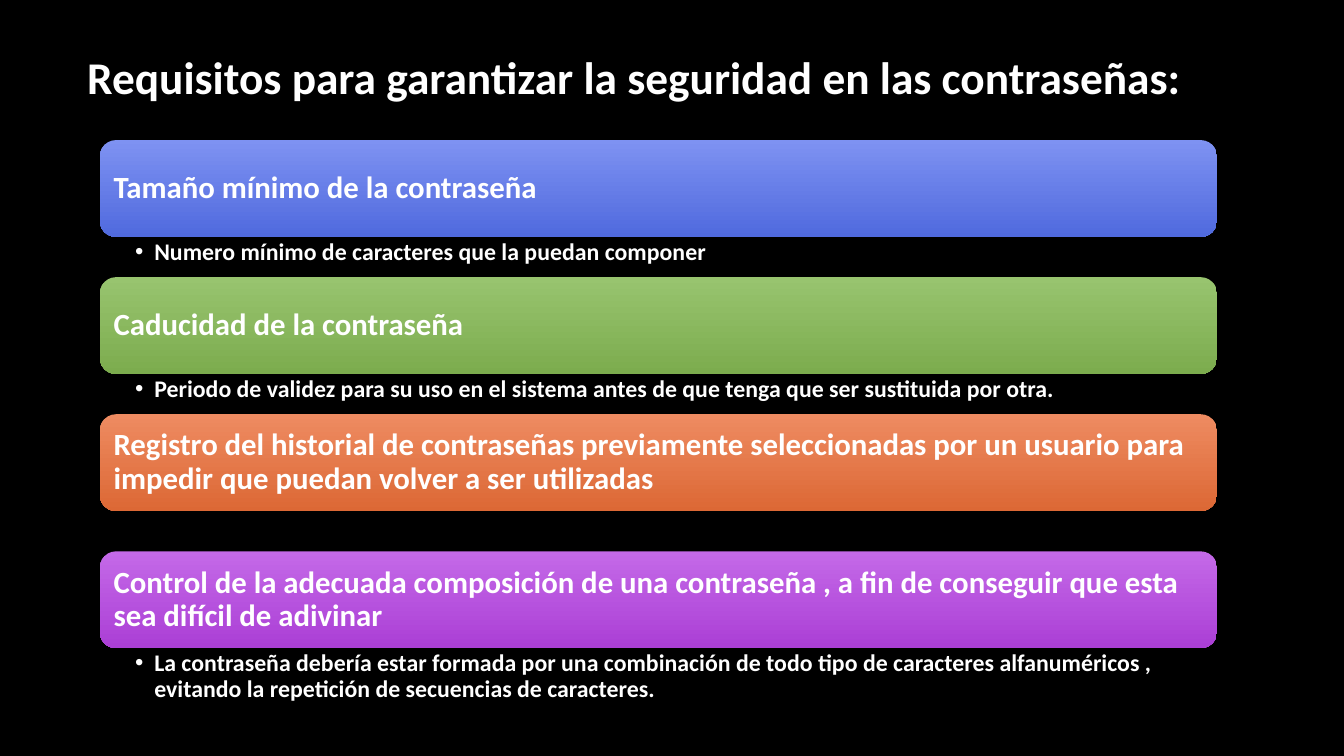
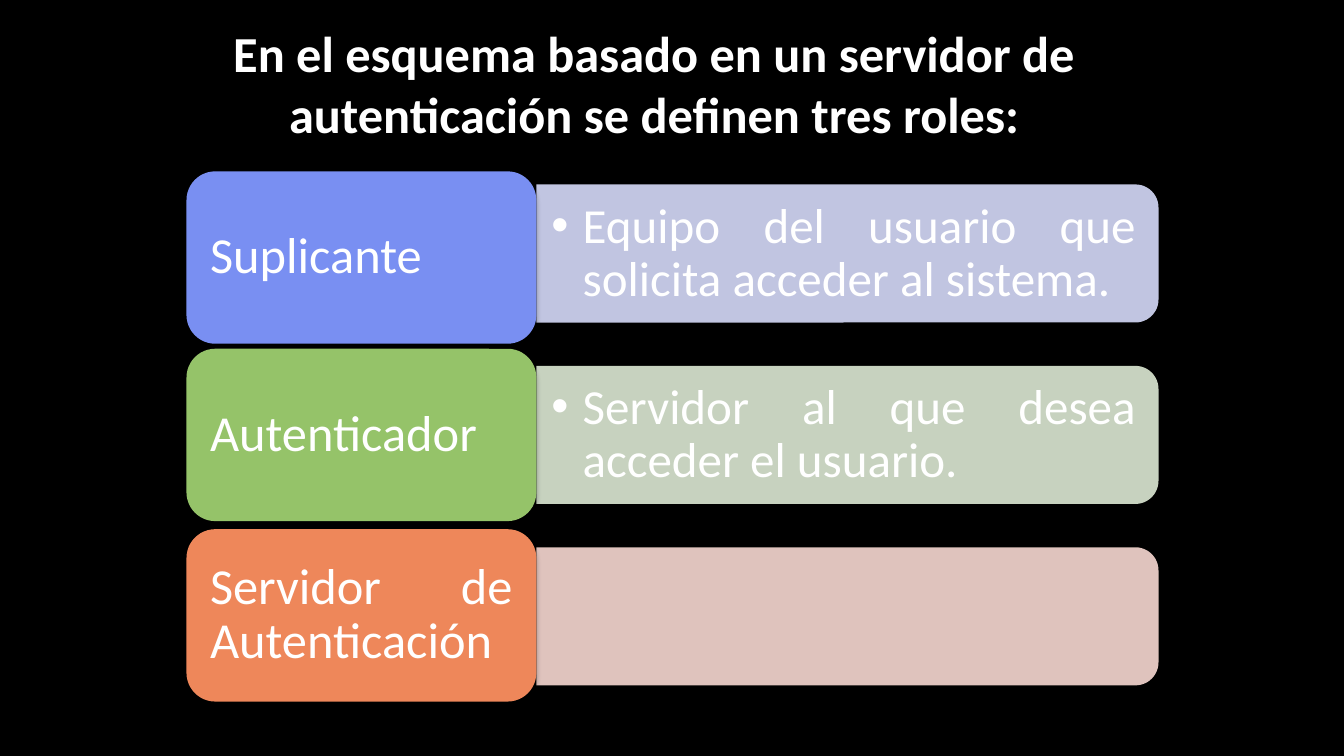
from lxml import etree
from pptx import Presentation
from pptx import util as u
from pptx.dml.color import RGBColor
from pptx.enum import shapes, text
from pptx.oxml.ns import qn

Inches = u.Inches
FONT = "Calibri"
COLORS = {
    "background": "000000", "text": "FFFFFF", "shadow": "000000",
    "blue_top": "7E92F2", "blue_bottom": "506ADE",
    "green_top": "98C46F", "green_bottom": "7CAC4E",
    "orange_top": "EE8B61", "orange_bottom": "DC6835",
    "purple_top": "C469E8", "purple_bottom": "AB3FD5",
    "blue": "798FF2", "green": "95C369", "orange": "EE875A",
    "blue_pale": "D7DBFA", "green_pale": "DDE9D4", "orange_pale": "F8D9D2",
}


def rgb(name):
    return RGBColor.from_string(COLORS[name])


class Deck:
    """Shared style and the slide being built."""

    def __init__(self):
        self.presentation = Presentation()
        self.presentation.slide_width = Inches(13.33)
        self.presentation.slide_height = Inches(7.5)
        background = self.presentation.slide_master.background.fill
        background.solid()
        background.fore_color.rgb = rgb("background")
        self.slide = None

    def add_slide(self, title, box, size):
        layout = self.presentation.slide_layouts.get_by_name("Title Only")
        self.slide = self.presentation.slides.add_slide(layout)
        shape = self.slide.shapes.title
        shape.left, shape.top, shape.width, shape.height = map(Inches, box)
        self.set_text(shape, title, size, bold=True, spacing=1,
                      align=text.PP_ALIGN.CENTER)

    def set_text(self, shape, words, size, bold=False,
                 insets=(0.1, 0.05, 0.1, 0.05), align=text.PP_ALIGN.LEFT,
                 anchor=text.MSO_ANCHOR.MIDDLE, spacing=0.9,
                 bullet_indent=None):
        frame = shape.text_frame
        frame.word_wrap = True
        frame.auto_size = text.MSO_AUTO_SIZE.NONE
        frame.vertical_anchor = anchor
        (frame.margin_left, frame.margin_top,
         frame.margin_right, frame.margin_bottom) = map(Inches, insets)
        paragraph = frame.paragraphs[0]
        paragraph.alignment = align
        paragraph.line_spacing = spacing
        if bullet_indent:
            properties = paragraph._p.get_or_add_pPr()
            properties.set("marL", str(Inches(bullet_indent)))
            properties.set("indent", str(-Inches(bullet_indent)))
            etree.SubElement(properties, qn("a:buFont"), typeface="Arial")
            etree.SubElement(properties, qn("a:buChar"), char="•")
        run = paragraph.add_run()
        run.text = words
        run.font.name = FONT
        run.font.size = u.Pt(size)
        run.font.bold = bold
        run.font.color.rgb = rgb("text")

    def add_text(self, box, words, size, **style):
        shape = self.slide.shapes.add_textbox(*map(Inches, box))
        self.set_text(shape, words, size, **style)

    def add_block(self, kind, box, color):
        """Add an outline-free shape with a plain fill and no shadow."""
        shape = self.slide.shapes.add_shape(kind, *map(Inches, box))
        shape.fill.solid()
        shape.fill.fore_color.rgb = rgb(color)
        shape.line.fill.background()
        shape.shadow.inherit = False
        return shape

    def add_card(self, box, color, words, size, **style):
        """Add a rounded, softly shadowed block with text in it."""
        shape = self.add_block(shapes.MSO_SHAPE.ROUNDED_RECTANGLE, box, color)
        effects = shape._element.spPr.find(qn("a:effectLst"))
        shadow = etree.SubElement(
            effects, qn("a:outerShdw"), blurRad=str(u.Pt(4)),
            dist=str(u.Pt(3)), dir="5400000", rotWithShape="0")
        shade = etree.SubElement(shadow, qn("a:srgbClr"), val=COLORS["shadow"])
        etree.SubElement(shade, qn("a:alpha"), val="35000")
        self.set_text(shape, words, size, **style)
        return shape

    def add_band(self, box, color, words):
        shape = self.add_card(box, f"{color}_top", words, 22, bold=True,
                              insets=(0.09,) * 4)
        shape.fill.gradient()
        shape.fill.gradient_angle = 270
        for stop, end in zip(shape.fill.gradient_stops, ("top", "bottom")):
            stop.color.rgb = rgb(f"{color}_{end}")

    def add_panel(self, left, top, width, height, color):
        """Add a translucent panel rounded on its right side only."""
        box = (left + (width - height) / 2, top - (width - height) / 2,
               height, width)
        shape = self.add_block(
            shapes.MSO_SHAPE.ROUND_2_SAME_RECTANGLE, box, color)
        shape.rotation = 90
        fill = shape._element.spPr.find(qn("a:solidFill"))
        etree.SubElement(fill[0], qn("a:alpha"), val="90000")


def add_requirements(deck):
    deck.add_slide("Requisitos para garantizar la seguridad en las contraseñas:",
                   (0.75, 0.26, 11.08, 0.99), 32.4)
    requirements = [
        ("blue", "Tamaño mínimo de la contraseña",
         "Numero mínimo de caracteres que la puedan componer"),
        ("green", "Caducidad de la contraseña",
         "Periodo de validez para su uso en el sistema antes de que tenga que "
         "ser sustituida por otra."),
        ("orange", "Registro del historial de contraseñas previamente "
         "seleccionadas por un usuario para impedir que puedan volver a ser "
         "utilizadas", None),
        ("purple", "Control de la adecuada composición de una contraseña , a fin "
         "de conseguir que esta sea difícil de adivinar",
         "La contraseña debería estar formada por una combinación de todo tipo "
         "de caracteres alfanuméricos , evitando la repetición de secuencias "
         "de caracteres."),
    ]
    left, width, height = 0.99, 11.08, 0.96
    for index, (color, heading, detail) in enumerate(requirements):
        top = 1.39 + 1.36 * index
        deck.add_band((left, top, width, height), color, heading)
        if detail:
            deck.add_text((left, top + height, width, 0.4), detail, 17,
                          bold=True, insets=(0.35, 0.03, 0.17, 0.03),
                          anchor=text.MSO_ANCHOR.TOP, bullet_indent=0.19)


def add_roles(deck):
    deck.add_slide("En el esquema basado en un servidor de autenticación se "
                   "definen tres roles:", (0.95, 0.21, 11.08, 1.22), 36)
    roles = [
        ("blue", 1.7, "Suplicante",
         "Equipo del usuario que solicita acceder al sistema."),
        ("green", 3.46, "Autenticador",
         "Servidor al que desea acceder el usuario."),
        ("orange", 5.25, "Servidor de Autenticación", None),
    ]
    style = {"insets": (0.15, 0.07, 0.15, 0.07),
             "align": text.PP_ALIGN.JUSTIFY}
    left, width = 1.85, 3.47
    panel_left = left + width
    for index, (color, card_top, role, detail) in enumerate(roles):
        panel_top = 1.83 + 1.8 * index
        deck.add_panel(panel_left, panel_top, 6.17, 1.37, f"{color}_pale")
        if detail:
            deck.add_text((panel_left, panel_top + 0.07, 6.1, 1.24), detail,
                          35, bullet_indent=0.31, **style)
        deck.add_card((left, card_top, width, 1.71), color, role, 36, **style)


def main():
    deck = Deck()
    add_requirements(deck)
    add_roles(deck)
    deck.presentation.save("out.pptx")


if __name__ == "__main__":
    main()
